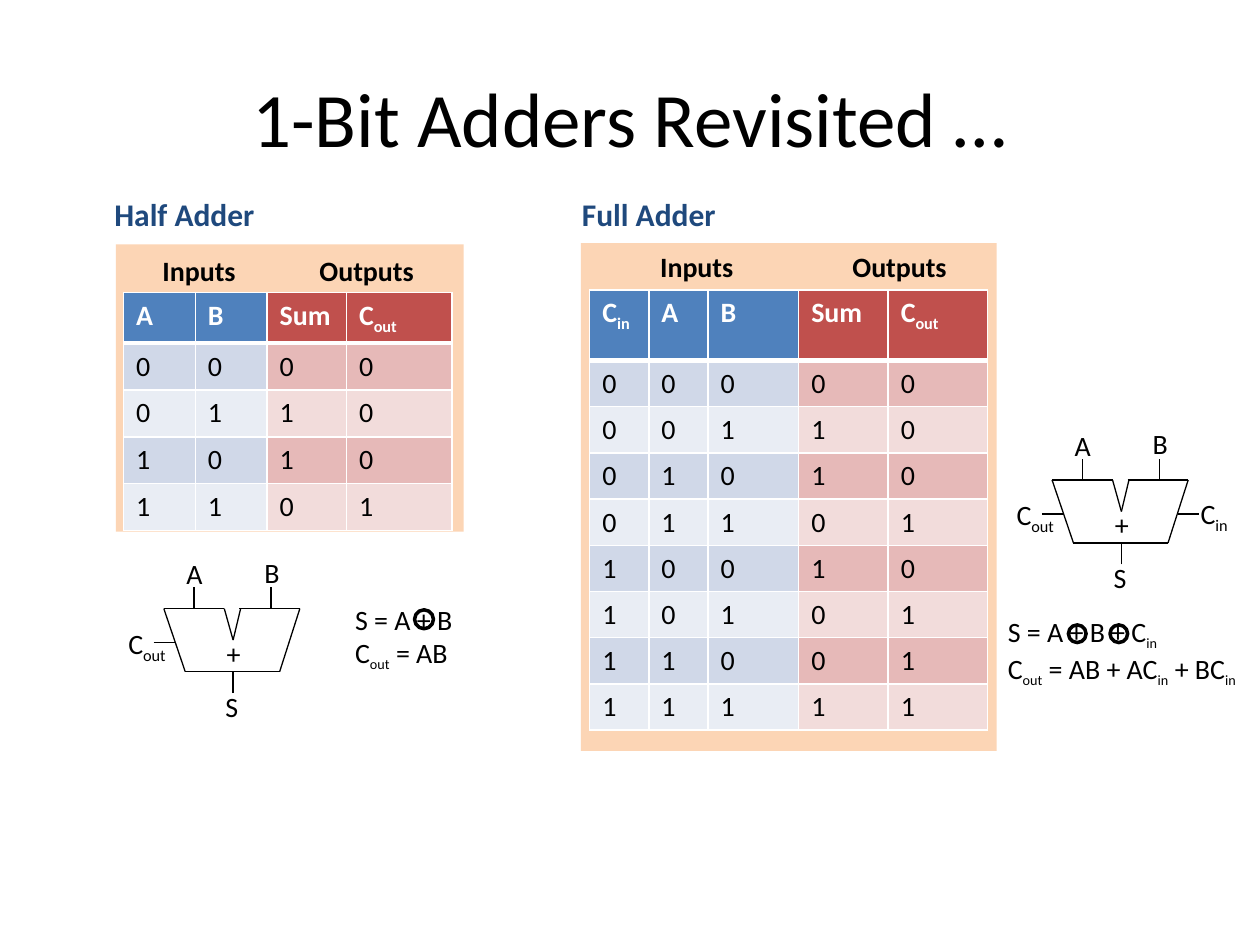
import itertools
import pptx
import pptx.dml.color
import pptx.enum.shapes
import pptx.enum.text
import pptx.oxml
import pptx.oxml.ns
import pptx.util
from pptx.util import Inches

color = pptx.dml.color.RGBColor.from_string
CENTER = pptx.enum.text.PP_ALIGN.CENTER
SHAPES = pptx.enum.shapes.MSO_SHAPE


def write(frame, lines, size=16, hue="000000", bold=False, align=None, sub_size=None):
    """Fill a text frame; parts between | marks are subscripts."""
    for index, line in enumerate(lines):
        paragraph = frame.paragraphs[0] if index == 0 else frame.add_paragraph()
        paragraph.alignment = align
        paragraph.font.name = "Calibri"
        paragraph.font.size = pptx.util.Pt(size)
        paragraph.font.bold = bold
        paragraph.font.color.rgb = color(hue)
        for position, part in enumerate(line.split("|")):
            if not part:
                continue
            run = paragraph.add_run()
            run.text = part
            if position % 2:
                run.font._element.set("baseline", "-25000")
                if sub_size:
                    run.font.size = pptx.util.Pt(sub_size)


def add_text(x, y, width, height, lines, **style):
    box = slide.shapes.add_textbox(Inches(x), Inches(y), Inches(width), Inches(height))
    box.text_frame.word_wrap = True
    box.text_frame.auto_size = pptx.enum.text.MSO_AUTO_SIZE.SHAPE_TO_FIT_TEXT
    write(box.text_frame, lines, **style)


presentation = pptx.Presentation()
presentation.slide_width, presentation.slide_height = Inches(10), Inches(7.5)
slide = presentation.slides.add_slide(presentation.slide_layouts[5])

# Title
title = slide.shapes.title
title.left, title.top, title.width, title.height = map(Inches, (0.5, 0.3, 9, 1.25))
write(title.text_frame, ["1-Bit Adders Revisited …"], size=44, align=CENTER)

# Adder symbol, relative to its top left corner
symbol_lines = [
    (0, 0, 0.48, 0), (0.17, 0.5, 0.92, 0.5), (1.08, 0, 0.92, 0.5),
    (0.48, 0, 0.55, 0.25), (0.61, 0, 0.55, 0.25), (0, 0, 0.17, 0.5),
    (0.6, 0, 1.08, 0), (0.24, 0, 0.24, -0.17), (0.85, 0, 0.85, -0.17),
    (0.55, 0.67, 0.55, 0.5), (-0.08, 0.27, 0.09, 0.27),
]
symbol_labels = [
    ("S", 0.39, 0.59, 0.42), ("B", 0.7, -0.47, 0.42), ("A", 0.08, -0.46, 0.42),
    ("+", 0.4, 0.17, 0.42), ("C|out", -0.38, 0.09, 0.54),
]

adders = [
    dict(
        name="Half Adder", name_at=(0.81, 1.5),
        panel=(0.92, 1.94, 2.76, 2.28), table=(0.98, 2.32, 2.6, 1.83),
        inputs=["A", "B"], columns=[0.57, 0.57, 0.63, 0.84],
        header_height=0.29, captions=[("Inputs", 0.91), ("Outputs", 2.24)], caption_top=1.96,
        symbol=(1.3, 4.83), carry_in_lines=[], carry_in_labels=[],
        equations=["S = A + B", "C|out| = AB"], equations_at=(2.72, 4.73, 1.34, 0.64),
        rings=[(3.29, 4.84, 0.15)],
    ),
    dict(
        name="Full Adder", name_at=(4.52, 1.5),
        panel=(4.61, 1.93, 3.3, 4.03), table=(4.68, 2.3, 3.16, 3.49),
        inputs=["C|in", "A", "B"], columns=[0.47, 0.47, 0.72, 0.71, 0.79],
        header_height=0.56, captions=[("Inputs", 4.86), ("Outputs", 6.47)], caption_top=1.93,
        symbol=(8.35, 3.81), carry_in_lines=[(1, 0.27, 1.17, 0.27)],
        carry_in_labels=[("C|in", 1.08, 0.08, 0.54)],
        equations=["S = A + B + C|in|", "C|out| = AB + AC|in| + BC|in|"],
        equations_at=(7.9, 4.83, 2.1, 0.64),
        rings=[(8.48, 4.96, 0.14), (8.81, 4.96, 0.14)],
    ),
]

for adder in adders:
    # Panel behind the truth table
    panel = slide.shapes.add_shape(SHAPES.RECTANGLE, *map(Inches, adder["panel"]))
    panel.shadow.inherit = False
    panel.fill.solid()
    panel.fill.fore_color.rgb = color("FCD5B5")
    panel.line.fill.background()

    # Truth table, with sum and carry worked out from the inputs
    inputs = adder["inputs"]
    rows = [inputs + ["Sum", "C|out"]]
    for bits in itertools.product((0, 1), repeat=len(inputs)):
        rows.append([str(bit) for bit in (*bits, sum(bits) % 2, sum(bits) // 2)])
    table = slide.shapes.add_table(len(rows), len(rows[0]), *map(Inches, adder["table"])).table
    for column, width in zip(table.columns, adder["columns"]):
        column.width = Inches(width)
    for r, values in enumerate(rows):
        table.rows[r].height = Inches(0.33 if r else adder["header_height"])
        for c, value in enumerate(values):
            cell = table.cell(r, c)
            for side in "LRTB":
                thick = (r == 0 and side == "B") or (r == 1 and side == "T")
                cell._tc.get_or_add_tcPr().append(pptx.oxml.parse_xml(
                    f'<a:ln{side} {pptx.oxml.ns.nsdecls("a")} w="{38100 if thick else 12700}">'
                    f'<a:solidFill><a:srgbClr val="FFFFFF"/></a:solidFill></a:ln{side}>'))
            # Header, odd and even rows each have an input and an output colour
            shades = ("4F81BD", "C0504D") if r == 0 else (
                ("D0D8E8", "E6B9B8") if r % 2 else ("E9EDF4", "F2DCDB"))
            cell.fill.solid()
            cell.fill.fore_color.rgb = color(shades[c >= len(inputs)])
            write(cell.text_frame, [value], hue="000000" if r else "FFFFFF", bold=r == 0)

    # Headings
    for caption, left in adder["captions"]:
        add_text(left, adder["caption_top"], 1.34, 0.37, [caption], bold=True, align=CENTER)
    add_text(*adder["name_at"], 1.47, 0.4, [adder["name"]], size=18, hue="1F497D", bold=True)

    # Adder symbol
    x, y = adder["symbol"]
    for x1, y1, x2, y2 in symbol_lines + adder["carry_in_lines"]:
        wire = slide.shapes.add_connector(
            pptx.enum.shapes.MSO_CONNECTOR.STRAIGHT,
            Inches(x + x1), Inches(y + y1), Inches(x + x2), Inches(y + y2))
        wire.line.color.rgb = color("000000")
        wire.line.width = pptx.util.Pt(0.75)
        wire._element.spPr.append(
            pptx.oxml.parse_xml(f'<a:effectLst {pptx.oxml.ns.nsdecls("a")}/>'))
    for label, dx, dy, width in symbol_labels + adder["carry_in_labels"]:
        add_text(x + dx, y + dy, width, 0.37, [label])

    # Equations, with rings that turn each plus into an exclusive or
    add_text(*adder["equations_at"], adder["equations"], sub_size=14)
    for left, top, diameter in adder["rings"]:
        ring = slide.shapes.add_shape(
            SHAPES.OVAL, Inches(left), Inches(top), Inches(diameter), Inches(diameter))
        ring.shadow.inherit = False
        ring.fill.background()
        ring.line.color.rgb = color("000000")
        ring.line.width = pptx.util.Pt(2)

presentation.save("out.pptx")
